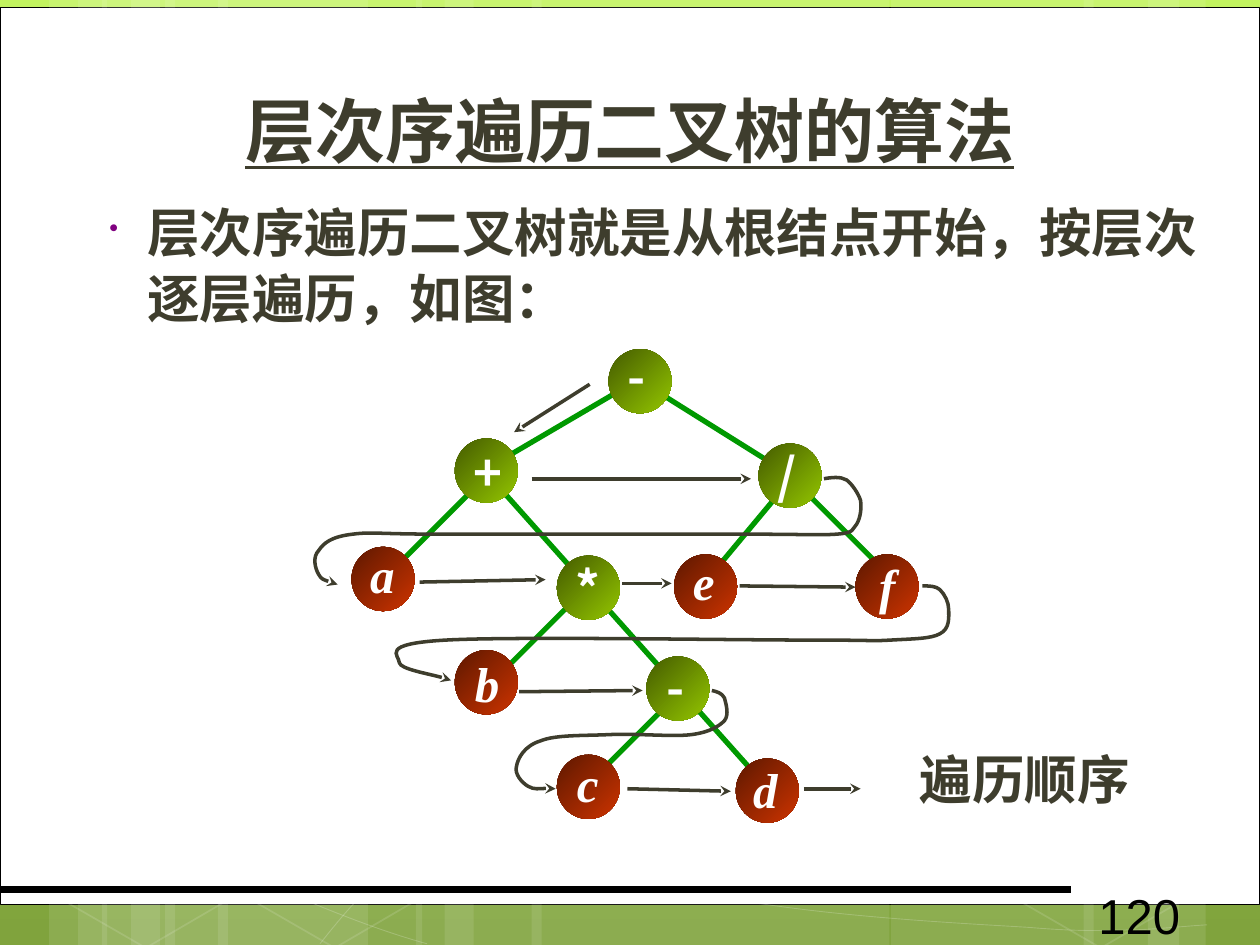
from copy import deepcopy
from dataclasses import dataclass

from lxml import etree
from pptx import Presentation
from pptx.dml.color import RGBColor
from pptx.enum.shapes import MSO_CONNECTOR, MSO_SHAPE
from pptx.enum.text import MSO_ANCHOR, MSO_AUTO_SIZE, PP_ALIGN
from pptx.oxml.ns import qn
from pptx.util import Inches, Pt

STRAIGHT = MSO_CONNECTOR.STRAIGHT
RECTANGLE, OVAL, HEXAGON = MSO_SHAPE.RECTANGLE, MSO_SHAPE.OVAL, MSO_SHAPE.HEXAGON
MIDDLE, CENTER, NO_FIT = MSO_ANCHOR.MIDDLE, PP_ALIGN.CENTER, MSO_AUTO_SIZE.NONE


@dataclass(frozen=True)
class Theme:
    ink: str = "3E3D2D"
    black: str = "000000"
    white: str = "FFFFFF"
    edge: str = "009900"
    bullet: str = "800080"
    operator: tuple = ((0, "445B00"), (1, "94C600"))
    operand: tuple = ((0, "5E1800"), (1, "CC3300"))
    backdrop: tuple = ((0, "C2F35F"), (0.62, "92BE3F"), (1, "80A33D"))
    title_font: str = "League Spartan"
    text_font: str = "Times New Roman"
    cjk_font: str = "Noto Sans CJK SC"
    number_font: str = "Arial"
    title_size: int = 40
    body_size: int = 30
    label_size: int = 28


class TreeSlide:
    def __init__(self, slide, theme):
        self.slide, self.shapes, self.theme = slide, slide.shapes, theme

    def gradient(self, fill, owner, stops, angle):
        fill.gradient()
        fill.gradient_angle = angle
        stop_list = owner.find(".//" + qn("a:gsLst"))
        while len(stop_list) < len(stops):
            stop_list.append(deepcopy(stop_list[0]))
        for stop, (position, color) in zip(fill.gradient_stops, stops):
            stop.position = position
            stop.color.rgb = RGBColor.from_string(color)

    def fade(self, fill_element, percent):
        color = fill_element.find(".//" + qn("a:srgbClr"))
        etree.SubElement(color, qn("a:alpha"), val=str(percent * 1000))

    def outline(self, line, color, width, arrow=False, opacity=None):
        line.color.rgb = RGBColor.from_string(color)
        line.width = Pt(width)
        ln = line._get_or_add_ln()
        if opacity:
            self.fade(ln, opacity)
        if arrow:
            etree.SubElement(ln, qn("a:tailEnd"), type="stealth")

    def shape(self, kind, left, top, width, height):
        shape = self.shapes.add_shape(kind, Inches(left), Inches(top), Inches(width), Inches(height))
        shape.shadow.inherit = False
        shape.line.fill.background()
        return shape

    def panel(self, *box, opacity=None):
        panel = self.shape(RECTANGLE, *box)
        panel.fill.solid()
        panel.fill.fore_color.rgb = RGBColor.from_string(self.theme.white)
        if opacity:
            self.fade(panel._element.spPr, opacity)
        return panel

    def hexagon(self, left, top):
        hexagon = self.shape(HEXAGON, left, top, 1.61, 1.52)
        hexagon.adjustments[0] = 0.285
        hexagon.rotation = 30
        hexagon.fill.background()
        self.outline(hexagon.line, self.theme.white, 1, opacity=12)

    def line(self, start, end, color, width, arrow=False):
        x1, y1, x2, y2 = (Inches(v) for v in start + end)
        connector = self.shapes.add_connector(STRAIGHT, x1, y1, x2, y2)
        self.outline(connector.line, color, width, arrow)
        etree.SubElement(connector._element.spPr, qn("a:effectLst"))

    def curve(self, points, color, width, arrow=False, opacity=None):
        """Smooth line through cubic Bezier segments: a start, then three points each."""
        start, *rest = [(Inches(x), Inches(y)) for x, y in points]
        builder = self.shapes.build_freeform(*start)
        builder.add_line_segments(rest, close=False)
        curve = builder.convert_to_shape()
        # Each three line segments become one Bezier segment
        outline_path = curve._element.find(".//" + qn("a:path"))
        segments = outline_path.findall(qn("a:lnTo"))
        for i in range(0, len(segments), 3):
            bezier = etree.SubElement(outline_path, qn("a:cubicBezTo"))
            for segment in segments[i:i + 3]:
                bezier.append(segment[0])
                outline_path.remove(segment)
        curve.shadow.inherit = False
        curve.fill.background()
        self.outline(curve.line, color, width, arrow, opacity)

    def format(self, paragraph, font, size, color, bold=True, italic=False, underline=False):
        for run in paragraph.runs:
            run.font.name, run.font.size = font, Pt(size)
            run.font.color.rgb = RGBColor.from_string(color)
            run.font.bold, run.font.italic, run.font.underline = bold, italic, underline
            etree.SubElement(run.font._element, qn("a:ea"), typeface=self.theme.cjk_font)

    def title(self, text, left, top, width, height):
        title = self.shapes.title
        title._element.getparent().append(title._element)  # in front of the backdrop
        title.left, title.top, title.width, title.height = map(Inches, (left, top, width, height))
        frame = title.text_frame
        frame.text = text
        frame.margin_left = frame.margin_right = frame.margin_top = frame.margin_bottom = 0
        frame.word_wrap, frame.auto_size, frame.vertical_anchor = False, NO_FIT, MIDDLE
        frame.paragraphs[0].alignment = CENTER
        self.format(frame.paragraphs[0], self.theme.title_font, self.theme.title_size,
                    self.theme.ink, underline=True)

    def text(self, text, box, font, size, color, wrap=True, **style):
        frame = self.shapes.add_textbox(*map(Inches, box)).text_frame
        frame.word_wrap = wrap
        frame.text = text
        self.format(frame.paragraphs[0], font, size, color, **style)
        return frame.paragraphs[0]

    def bullet(self, paragraph):
        properties = paragraph._p.get_or_add_pPr()
        properties.set("marL", str(Inches(0.38)))
        properties.set("indent", str(Inches(-0.3)))
        color = etree.SubElement(properties, qn("a:buClr"))
        etree.SubElement(color, qn("a:srgbClr"), val=self.theme.bullet)
        etree.SubElement(properties, qn("a:buSzPct"), val="50000")
        etree.SubElement(properties, qn("a:buChar"), char="•")
        paragraph.line_spacing = 1.05

    def node(self, left, top, stops):
        node = self.shape(OVAL, left, top, 0.5, 0.51)
        self.gradient(node.fill, node._element, stops, 315)


STRIPES = [(1.31, 1.61), (0.39, 0.46), (0.62, 0.77), (1.73, 1.62), (0.81, 0.46), (1.04, 0.77),
           (7.07, 1.61), (9.11, 0.46), (8.6, 0.76), (4.22, 2.84), (3.3, 0.46), (3.53, 0.77)]
BACKDROP_CURVES = [
    [(0.36, 6.17), (1.47, 6.72), (2.58, 7.27), (3.39, 7.49)],
    [(0.37, 5.78), (0.66, 5.89), (0.95, 6), (1.49, 6.16), (2.02, 6.31), (2.82, 6.56), (3.59, 6.73),
     (4.36, 6.9), (5.33, 7.08), (6.09, 7.18), (6.85, 7.29), (7.67, 7.33), (8.16, 7.36),
     (8.64, 7.4), (8.77, 7.38), (9.01, 7.38), (9.24, 7.37), (9.41, 7.35), (9.58, 7.34)],
    [(2.54, 7.49), (2.7, 7.29), (2.86, 7.09), (3.09, 6.91), (3.31, 6.72), (3.62, 6.53), (3.88, 6.39),
     (4.13, 6.25), (4.29, 6.19), (4.63, 6.09), (4.97, 5.99), (5.59, 5.85), (5.91, 5.78),
     (6.23, 5.71), (6.28, 5.71), (6.57, 5.69), (6.85, 5.66), (7.3, 5.63), (7.62, 5.62),
     (7.94, 5.61), (8.47, 5.62), (8.47, 5.62), (8.67, 5.62), (8.88, 5.62), (9.08, 5.62),
     (9.25, 5.63), (9.4, 5.64), (9.48, 5.65), (9.57, 5.66), (9.54, 5.65), (9.57, 5.66)],
]
EDGES = [((4.97, 3.07), (3.98, 3.65)), ((3.75, 3.89), (3.18, 4.46)), ((4, 3.91), (5.99, 6.14)),
         ((4.52, 4.8), (4, 5.32)), ((5.29, 5.6), (4.73, 6.16)), ((6.18, 3.92), (5.68, 4.52)),
         ((5.22, 3.11), (6.13, 3.68)), ((6.4, 3.91), (6.98, 4.49))]
# Label, node corner, label corner; level by level
NODES = [("-", (4.83, 2.77), (4.88, 2.7)), ("+", (3.61, 3.48), (3.66, 3.46)),
         ("/", (6.02, 3.52), (6.07, 3.49)), ("a", (2.79, 4.34), (2.84, 4.27)),
         ("*", (4.42, 4.41), (4.47, 4.38)), ("e", (5.35, 4.4), (5.4, 4.33)),
         ("f", (6.79, 4.4), (6.88, 4.36)), ("b", (3.61, 5.16), (3.67, 5.14)),
         ("-", (5.13, 5.21), (5.19, 5.17)), ("c", (4.42, 5.99), (4.48, 5.93)),
         ("d", (5.84, 6.02), (5.88, 5.98))]
NARROW_LABELS = {"c": 0.37, "e": 0.37, "f": 0.33}
VISITS = [((4.68, 3.05), (4.08, 3.43)), ((4.22, 3.8), (5.96, 3.8)), ((3.33, 4.62), (4.33, 4.6)),
          ((4.94, 4.63), (5.33, 4.63)), ((5.87, 4.65), (6.79, 4.66)), ((4.12, 5.49), (5.1, 5.48)),
          ((4.98, 6.26), (5.8, 6.28)), ((6.38, 6.26), (6.83, 6.26))]
LEVEL_RETURNS = [
    [(6.54, 3.8), (6.6, 3.79), (6.67, 3.78), (6.72, 3.81), (6.76, 3.84), (6.81, 3.91), (6.83, 3.97),
     (6.84, 4.03), (6.83, 4.11), (6.8, 4.16), (6.76, 4.2), (6.79, 4.23), (6.64, 4.24),
     (6.49, 4.25), (6.41, 4.24), (5.89, 4.24), (5.37, 4.24), (4.03, 4.24), (3.51, 4.24),
     (2.99, 4.24), (2.96, 4.22), (2.8, 4.24), (2.63, 4.26), (2.57, 4.31), (2.53, 4.37),
     (2.48, 4.42), (2.5, 4.51), (2.53, 4.56), (2.55, 4.6), (2.64, 4.63), (2.68, 4.64)],
    [(7.32, 4.65), (7.37, 4.65), (7.43, 4.65), (7.46, 4.68), (7.5, 4.72), (7.53, 4.78), (7.53, 4.84),
     (7.53, 4.9), (7.54, 4.99), (7.46, 5.03), (7.39, 5.07), (7.25, 5.07), (7.07, 5.08),
     (6.89, 5.09), (7, 5.08), (6.41, 5.08), (5.82, 5.08), (4.08, 5.05), (3.54, 5.08),
     (3, 5.11), (3.17, 5.2), (3.17, 5.26), (3.18, 5.31), (3.52, 5.37), (3.58, 5.4)],
    [(5.65, 5.48), (5.69, 5.49), (5.73, 5.5), (5.75, 5.54), (5.76, 5.58), (5.79, 5.67), (5.75, 5.72),
     (5.71, 5.76), (5.64, 5.81), (5.49, 5.83), (5.34, 5.85), (5.05, 5.82), (4.84, 5.83),
     (4.64, 5.84), (4.41, 5.83), (4.29, 5.88), (4.16, 5.92), (4.11, 6.02), (4.1, 6.08),
     (4.08, 6.14), (4.14, 6.21), (4.19, 6.24), (4.24, 6.27), (4.38, 6.25), (4.41, 6.26)],
]


def main():
    deck = Presentation()
    deck.slide_width, deck.slide_height = Inches(10), Inches(7.5)
    theme = Theme()
    page = TreeSlide(deck.slides.add_slide(deck.slide_layouts[5]), theme)
    # Backdrop
    page.gradient(page.slide.background.fill, page.slide.element, theme.backdrop, 270)
    page.outline(page.panel(0, 0.06, 10, 7.12).line, theme.black, 0.5)
    for left, width in STRIPES:
        page.panel(left, 0, width, 7.5, opacity=10)
    for points in BACKDROP_CURVES:
        page.curve(points, theme.white, 0.5, opacity=20)
    for left in (0.41, 1.91, 7.99):
        page.hexagon(left, 5.92)
    page.line((0, 7.06), (8.5, 7.06), theme.black, 4.5)
    # Title and explanation
    page.title("层次序遍历二叉树的算法", 0.5, 0.5, 9, 1.05)
    body_style = (theme.text_font, theme.body_size, theme.ink)
    explanation = page.text("层次序遍历二叉树就是从根结点开始，按层次逐层遍历，如图：",
                            (0.69, 1.51, 9, 4.25), *body_style)
    page.bullet(explanation)
    page.text("120", (8.62, 6.98, 1.46, 0.4), theme.number_font, theme.label_size,
              theme.black, bold=False)
    page.text("遍历顺序", (7.2, 5.88, 2.25, 0.6), *body_style)
    # Expression tree
    for start, end in EDGES:
        page.line(start, end, theme.edge, 3)
    for label, corner, label_corner in NODES:
        operand = label.isalpha()
        page.node(*corner, theme.operand if operand else theme.operator)
        page.text(label, (*label_corner, NARROW_LABELS.get(label, 0.4), 0.57),
                  theme.text_font if operand else theme.cjk_font,
                  theme.label_size, theme.white, wrap=False, italic=operand)
    # Visiting order
    for start, end in VISITS:
        page.line(start, end, theme.ink, 2, arrow=True)
    for points in LEVEL_RETURNS:
        page.curve(points, theme.ink, 2, arrow=True)
    deck.save("out.pptx")


if __name__ == "__main__":
    main()
